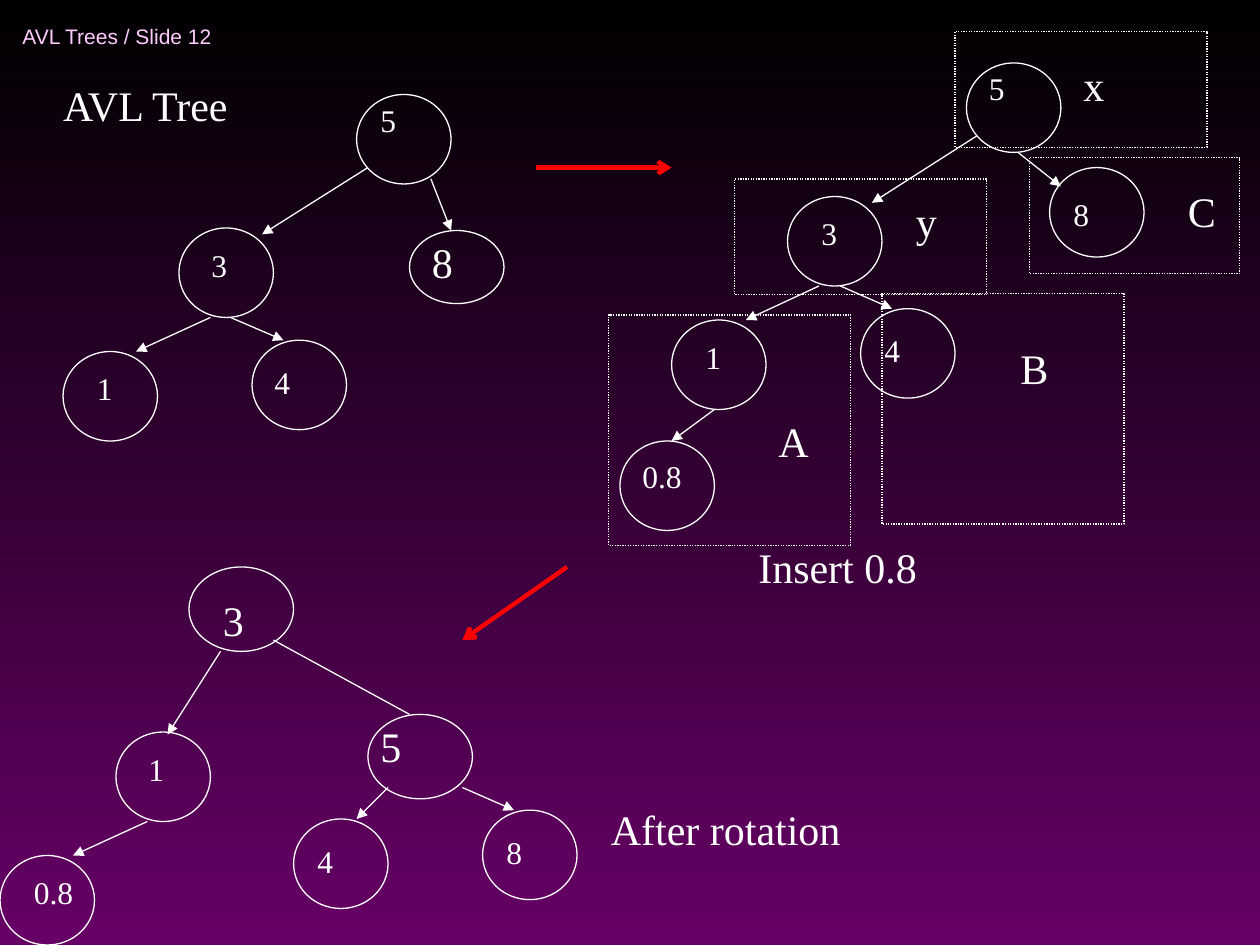
from lxml.etree import SubElement
from pptx import Presentation
from pptx.dml.color import RGBColor
from pptx.enum.dml import MSO_LINE
from pptx.enum.shapes import MSO_CONNECTOR, MSO_SHAPE
from pptx.enum.text import MSO_ANCHOR, MSO_AUTO_SIZE, PP_ALIGN
from pptx.oxml.ns import qn
from pptx.util import Inches, Pt

WHITE = "FFFFFF"
RED = "FF0000"
PINK = "FFCCFF"
SERIF = "Times New Roman"
SANS = "Arial"
NODE_WIDTH, NODE_HEIGHT = 0.75, 0.71


def color(value):
    return RGBColor.from_string(value)


class SlideBuilder:
    def __init__(self, slide):
        self.slide = slide
        self.shapes = slide.shapes

    def background(self, top, bottom):
        fill = self.slide.background.fill
        fill.gradient()
        fill.gradient_angle = 270
        for stop, value in zip(fill.gradient_stops, (top, bottom)):
            stop.color.rgb = color(value)

    def format_text(self, shape, text, size, font=SERIF, fill=WHITE, anchor=MSO_ANCHOR.TOP):
        frame = shape.text_frame
        frame.text = text
        frame.word_wrap = True
        frame.auto_size = MSO_AUTO_SIZE.NONE
        frame.vertical_anchor = anchor
        paragraph = frame.paragraphs[0]
        paragraph.alignment = PP_ALIGN.LEFT
        paragraph.line_spacing = 1
        run = paragraph.runs[0]
        run.font.size = Pt(size)
        run.font.name = font
        run.font.color.rgb = color(fill)

    def title(self, text, left, top, width, height):
        shape = self.shapes.title
        shape.left, shape.top = Inches(left), Inches(top)
        shape.width, shape.height = Inches(width), Inches(height)
        self.format_text(shape, text, 24)

    def text(self, text, left, top, width, height=0.5, size=24, **style):
        box = self.shapes.add_textbox(
            Inches(left), Inches(top), Inches(width), Inches(height))
        self.format_text(box, text, size, **style)

    def outline(self, kind, left, top, width, height):
        shape = self.shapes.add_shape(
            kind, Inches(left), Inches(top), Inches(width), Inches(height))
        shape.shadow.inherit = False
        shape.fill.background()
        shape.line.color.rgb = color(WHITE)
        shape.line.width = Pt(0.75)
        return shape

    def node(self, label, left, top, label_left, label_top, label_width,
             width=NODE_WIDTH, height=NODE_HEIGHT, size=18):
        self.outline(MSO_SHAPE.OVAL, left, top, width, height)
        label_height = 0.4 if size == 18 else 0.5
        self.text(label, label_left, label_top, label_width, label_height, size)

    def region(self, label, left, top, width, height, label_left, label_top):
        shape = self.outline(MSO_SHAPE.RECTANGLE, left, top, width, height)
        shape.line.dash_style = MSO_LINE.ROUND_DOT
        self.text(label, label_left, label_top, 0.67)

    def line(self, x1, y1, x2, y2, head="triangle", stroke=WHITE, weight=0.75):
        connector = self.shapes.add_connector(
            MSO_CONNECTOR.STRAIGHT, Inches(x1), Inches(y1), Inches(x2), Inches(y2))
        connector.line.color.rgb = color(stroke)
        connector.line.width = Pt(weight)
        if head:
            SubElement(connector.get_or_add_ln(), qn("a:tailEnd"), type=head)
        SubElement(connector.element.spPr, qn("a:effectLst"))


def main():
    presentation = Presentation()
    presentation.slide_width, presentation.slide_height = Inches(10), Inches(7.5)
    builder = SlideBuilder(presentation.slides.add_slide(presentation.slide_layouts[5]))
    builder.background("000000", "660066")
    builder.title("AVL Tree", 0.4, 0.58, 4, 0.5)
    builder.text("AVL Trees / Slide 12", 0.08, 0.08, 2.75, 0.42, 12,
                 font=SANS, fill=PINK, anchor=MSO_ANCHOR.MIDDLE)

    initial_nodes = [
        ("5", 2.83, 0.75, 2.92, 0.75, 1.33),
        ("3", 1.42, 1.81, 1.58, 1.9, 1.33),
        ("1", 0.5, 2.79, 0.67, 2.88, 0.83),
        ("4", 2, 2.7, 2.08, 2.83, 1),
        ("8", 3.25, 1.83, 3.33, 1.83, 1, 0.75, 0.58, 24),
    ]
    inserted_nodes = [
        ("5", 7.67, 0.5, 7.75, 0.5, 1.33),
        ("3", 6.25, 1.56, 6.42, 1.65, 1.33),
        ("1", 5.33, 2.54, 5.5, 2.63, 0.83),
        ("4", 6.83, 2.45, 6.92, 2.58, 1),
        ("8", 8.33, 1.33, 8.42, 1.5, 0.92),
        ("0.8", 4.92, 3.5, 5, 3.58, 1.33),
    ]
    rotated_nodes = [
        ("3", 1.5, 4.5, 1.67, 4.67, 2.08, 0.83, 0.67, 24),
        ("5", 2.92, 5.67, 2.92, 5.67, 0.83, 0.83, 0.67, 24),
        ("1", 0.92, 5.81, 1.08, 5.9, 1.33),
        ("0.8", 0, 6.79, 0.17, 6.88, 0.83),
        ("4", 2.33, 6.5, 2.42, 6.63, 1),
        ("8", 3.83, 6.43, 3.92, 6.56, 1),
    ]
    for node in initial_nodes + inserted_nodes + rotated_nodes:
        builder.node(*node)

    initial_edges = [
        (2.92, 1.33, 2.08, 1.86),
        (3.42, 1.42, 3.58, 1.83),
        (1.67, 2.52, 1.08, 2.79),
        (1.83, 2.52, 2.25, 2.7),
    ]
    inserted_edges = [
        (7.75, 1.08, 6.92, 1.61),
        (8.08, 1.21, 8.42, 1.48),
        (6.5, 2.27, 5.92, 2.54),
        (6.67, 2.27, 7.08, 2.45),
        (5.67, 3.25, 5.33, 3.5),
    ]
    rotated_edges = [
        (2.17, 5.08, 3.25, 5.67, None),
        (1.75, 5.17, 1.33, 5.83),
        (1.17, 6.52, 0.58, 6.79),
        (3.08, 6.25, 2.83, 6.5),
        (3.67, 6.25, 4.08, 6.43),
    ]
    for edge in initial_edges + inserted_edges + rotated_edges:
        builder.line(*edge)

    for region in [
        ("x", 7.58, 0.25, 2, 0.92, 8.5, 0.42),
        ("y", 5.83, 1.42, 2, 0.92, 7.17, 1.5),
        ("A", 4.83, 2.5, 1.92, 1.83, 6.08, 3.25),
        ("B", 7, 2.33, 1.92, 1.83, 8, 2.67),
        ("C", 8.17, 1.25, 1.67, 0.92, 9.33, 1.42),
    ]:
        builder.region(*region)

    builder.text("Insert 0.8", 5.92, 4.25, 4.08)
    builder.text("After rotation", 4.75, 6.33, 2.5)
    for step in [(4.25, 1.33, 5.33, 1.33), (4.5, 4.5, 3.67, 5.08)]:
        builder.line(*step, head="arrow", stroke=RED, weight=2.5)

    presentation.save("out.pptx")


if __name__ == "__main__":
    main()
